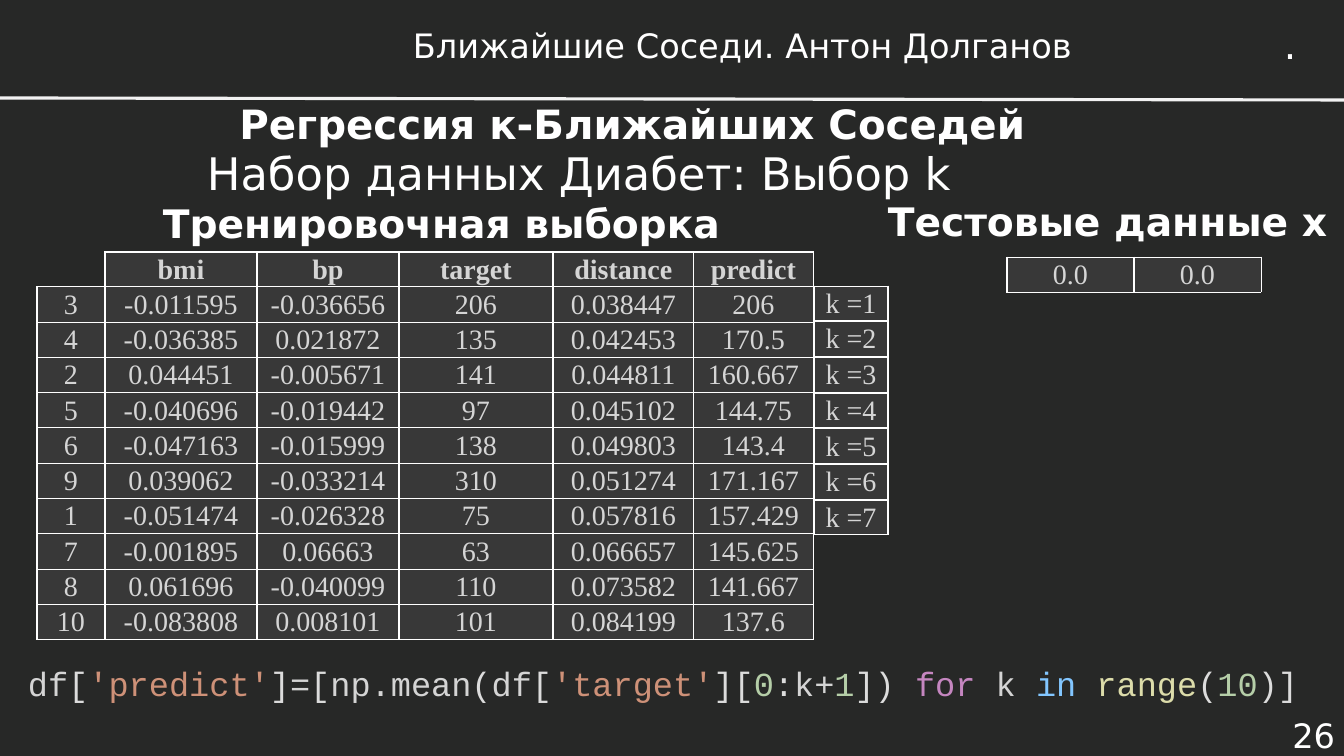
from lxml import etree
from pptx import Presentation
from pptx.dml.color import RGBColor
from pptx.enum.shapes import MSO_CONNECTOR
from pptx.enum.text import MSO_ANCHOR, MSO_AUTO_SIZE, PP_ALIGN
from pptx.oxml.ns import qn
from pptx.util import Emu, Pt

LEFT, CENTER, RIGHT = PP_ALIGN.LEFT, PP_ALIGN.CENTER, PP_ALIGN.RIGHT
TOP, MIDDLE = MSO_ANCHOR.TOP, MSO_ANCHOR.MIDDLE
GROW, FIXED = MSO_AUTO_SIZE.SHAPE_TO_FIT_TEXT, MSO_AUTO_SIZE.NONE
STRAIGHT = MSO_CONNECTOR.STRAIGHT

SANS, SERIF, MONO = "DejaVu Sans", "Times New Roman", "Courier New"
PLAIN_STYLE = "{2D5ABB26-0587-4C30-8999-92F81FD0307C}"
COLORS = {
    "background": "272827", "white": "FFFFFF", "rule": "F2F2F2",
    "cell": "383838", "value": "D5D5D5",
    "code": "D4D4D4", "bracket": "DCDCDC", "string": "CE9178",
    "number": "B5CEA8", "keyword": "C586C0", "operator": "82C6FF",
    "builtin": "DCDCAA",
}

HEADINGS = [
    ("Регрессия к-Ближайших Соседей", (196, 77, 873, 92),
     dict(size=28.8, bold=True, align=CENTER, anchor=MIDDLE)),
    ("26", (1239, 714, 106, 42), dict(size=24, align=RIGHT, anchor=MIDDLE)),
    ("Ближайшие Соседи. Антон Долганов", (347, 19, 791, 53),
     dict(size=24, align=CENTER, anchor=MIDDLE)),
    (".", (1274, 15, 34, 57), dict(size=28, wrap=False, autosize=GROW)),
    ("Набор данных Диабет: Выбор k", (197, 141, 769, 64),
     dict(size=32, wrap=False, autosize=GROW)),
    ("Тренировочная выборка", (153, 194, 590, 57),
     dict(size=28, bold=True, wrap=False, autosize=GROW)),
    ("Тестовые данные x", (878, 192, 464, 57),
     dict(size=28, bold=True, wrap=False, autosize=GROW)),
]
HEADER_RULE = (0, 98, 1344, 100)

TRAINING = [
    ("", "bmi", "bp", "target", "distance", "predict"),
    ("3", "-0.011595", "-0.036656", "206", "0.038447", "206"),
    ("4", "-0.036385", "0.021872", "135", "0.042453", "170.5"),
    ("2", "0.044451", "-0.005671", "141", "0.044811", "160.667"),
    ("5", "-0.040696", "-0.019442", "97", "0.045102", "144.75"),
    ("6", "-0.047163", "-0.015999", "138", "0.049803", "143.4"),
    ("9", "0.039062", "-0.033214", "310", "0.051274", "171.167"),
    ("1", "-0.051474", "-0.026328", "75", "0.057816", "157.429"),
    ("7", "-0.001895", "0.06663", "63", "0.066657", "145.625"),
    ("8", "0.061696", "-0.040099", "110", "0.073582", "141.667"),
    ("10", "-0.083808", "0.008101", "101", "0.084199", "137.6"),
]
TRAINING_AT = (37, 252)
TRAINING_COLUMNS = [68, 152, 142, 154, 141, 119]
HEADER_HEIGHT, TRAINING_BODY_HEIGHT = 34, 353

TEST_POINT = [("0.0", "0.0")]
TEST_AT, TEST_COLUMNS, TEST_HEIGHT = (1007, 257), [127, 127], 35

NEIGHBOUR_COUNTS = range(1, 8)
FIRST_K_AT, LAST_K_TOP, K_WIDTH, K_HEIGHT = (814, 286), 500, 74, 34

CODE_AT = (18, 658, 1308, 50)
CODE = [
    ("df", "code"), ("[", "bracket"), ("'predict'", "string"),
    ("]", "bracket"), ("=", "code"), ("[", "bracket"), ("np.mean", "code"),
    ("(", "bracket"), ("df", "code"), ("[", "bracket"),
    ("'target'", "string"), ("][", "bracket"), ("0", "number"),
    (":", "bracket"), ("k+", "code"), ("1", "number"), ("]) ", "bracket"),
    ("for", "keyword"), (" k ", "code"), ("in ", "operator"),
    ("range", "builtin"), ("(", "bracket"), ("10", "number"),
    (")]", "bracket"),
]


def px(length):
    return Emu(round(length * 914400 / 100.8))


def color(name):
    return RGBColor.from_string(COLORS[name])


def write(frame, runs, size=20, font=SANS, bold=False, align=LEFT):
    paragraph = frame.paragraphs[0]
    paragraph.alignment = align
    for words, tone in runs:
        run = paragraph.add_run()
        run.text = words
        run.font.size = Pt(size)
        run.font.name = font
        run.font.bold = bold
        run.font.color.rgb = color(tone)


def add_text(runs, place, anchor=TOP, wrap=True, autosize=FIXED, **style):
    frame = slide.shapes.add_textbox(*map(px, place)).text_frame
    frame.word_wrap = wrap
    frame.auto_size = autosize
    frame.vertical_anchor = anchor
    write(frame, runs, **style)


def add_borders(cell, widths):
    properties = cell._tc.get_or_add_tcPr()
    for side in "LRTB":
        line = etree.SubElement(properties, qn(f"a:ln{side}"))
        if side in widths:
            line.set("w", str(Pt(widths[side])))
            fill = etree.SubElement(line, qn("a:solidFill"))
            etree.SubElement(fill, qn("a:srgbClr"), val=COLORS["white"])
        else:
            etree.SubElement(line, qn("a:noFill"))


def add_grid(rows, at, columns, heights, has_header=False):
    place = (*at, sum(columns), sum(heights))
    table = slide.shapes.add_table(
        len(rows), len(columns), *map(px, place)).table
    table.first_row = table.horz_banding = False
    table._tbl.tblPr.find(qn("a:tableStyleId")).text = PLAIN_STYLE
    for column, width in zip(table.columns, columns):
        column.width = px(width)
    for row, height in zip(table.rows, heights):
        row.height = px(height)
    for r, values in enumerate(rows):
        for c, value in enumerate(values):
            cell = table.cell(r, c)
            in_header = has_header and r == 0
            cell.margin_left = cell.margin_right = cell.margin_top = px(1)
            cell.margin_bottom = 0
            cell.vertical_anchor = MIDDLE
            if not value:
                add_borders(cell, {"R": 1, "B": 0.5})
                cell.fill.background()
                continue
            last = len(columns) > 1 and c == len(columns) - 1
            add_borders(cell, {"L": 1, "R": 0.5 if last else 1,
                               "T": 1 if in_header else 0.5, "B": 0.5})
            cell.fill.solid()
            cell.fill.fore_color.rgb = color("cell")
            write(cell.text_frame, [(value, "value")], font=SERIF,
                  bold=in_header, align=CENTER)


deck = Presentation()
deck.slide_width, deck.slide_height = px(1344), px(756)
slide = deck.slides.add_slide(deck.slide_layouts[6])
slide.background.fill.solid()
slide.background.fill.fore_color.rgb = color("background")

for heading, place, style in HEADINGS:
    add_text([(heading, "white")], place, **style)

rule = slide.shapes.add_connector(STRAIGHT, *map(px, HEADER_RULE))
rule.line.color.rgb = color("rule")
rule.line.width = Pt(2.25)
etree.SubElement(rule._element.spPr, qn("a:effectLst"))

k_left, k_top = FIRST_K_AT
k_pitch = (LAST_K_TOP - k_top) / (len(NEIGHBOUR_COUNTS) - 1)
for step, k in enumerate(NEIGHBOUR_COUNTS):
    add_grid([(f"k ={k}",)], (k_left, k_top + step * k_pitch),
             [K_WIDTH], [K_HEIGHT])

add_grid(TEST_POINT, TEST_AT, TEST_COLUMNS, [TEST_HEIGHT])
add_text(CODE, CODE_AT, autosize=GROW, size=24, font=MONO)

body_rows = len(TRAINING) - 1
training_heights = [HEADER_HEIGHT] + [TRAINING_BODY_HEIGHT / body_rows] * body_rows
add_grid(TRAINING, TRAINING_AT, TRAINING_COLUMNS, training_heights, has_header=True)

deck.save("out.pptx")
